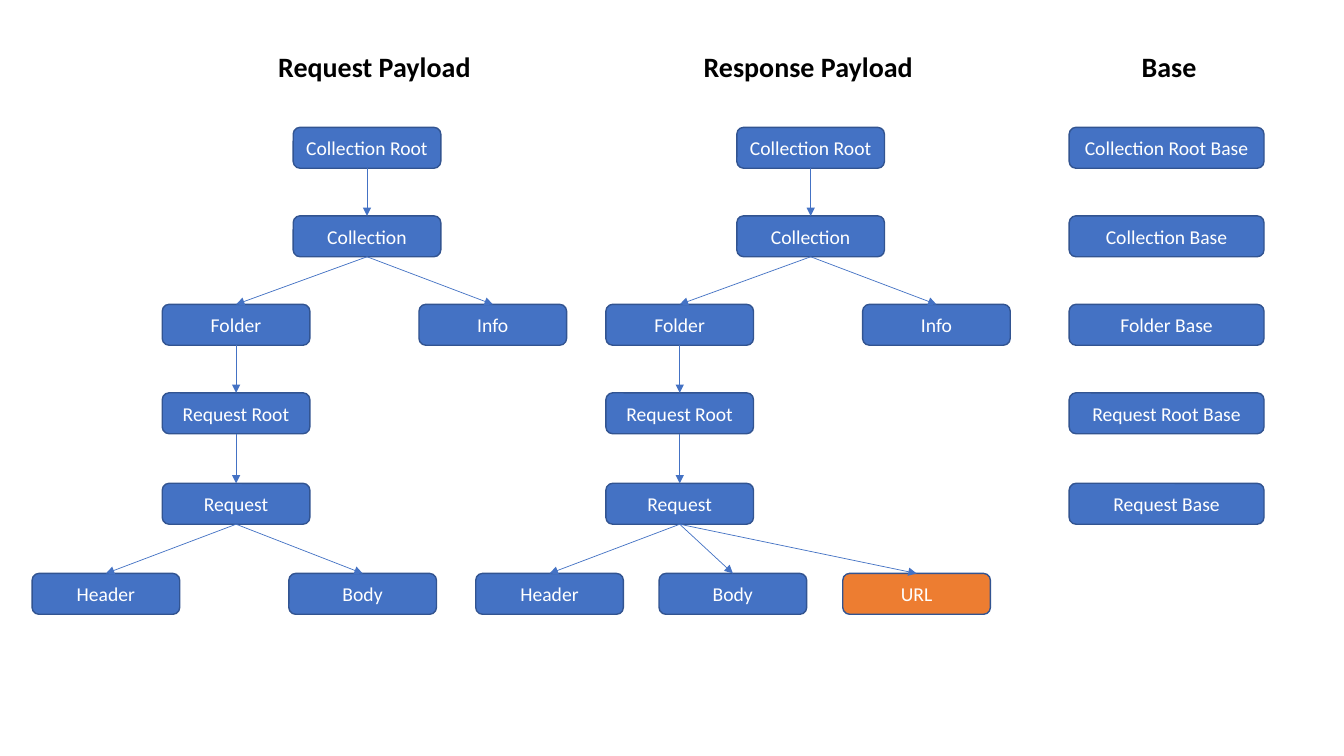
from lxml.etree import SubElement
from pptx import Presentation
from pptx.dml.color import RGBColor
from pptx.enum.shapes import MSO_CONNECTOR, MSO_SHAPE
from pptx.enum.text import MSO_ANCHOR, MSO_AUTO_SIZE, PP_ALIGN
from pptx.oxml.ns import qn
from pptx.util import Cm, Pt

COLORS = {"blue": "4472C4", "border": "325491", "orange": "ED7D31",
          "white": "FFFFFF", "black": "000000"}
FONT = "Calibri"

# Lengths in centimetres
ROW_TOPS = [3.21, 5.44, 7.67, 9.9, 12.18, 14.45]
BOX_W, BASE_W, BOX_H = 3.72, 4.91, 1.03
RESPONSE_SHIFT = 11.18
BASE_CENTER = 29.4

# Name: (row, horizontal centre)
REQUEST_NODES = {
    "Collection Root": (0, 9.25),
    "Collection": (1, 9.25),
    "Folder": (2, 5.95),
    "Info": (2, 12.42),
    "Request Root": (3, 5.95),
    "Request": (4, 5.95),
    "Header": (5, 2.67),
    "Body": (5, 9.14),
}
REQUEST_LINKS = [
    ("Collection Root", "Collection"), ("Collection", "Folder"),
    ("Collection", "Info"), ("Folder", "Request Root"),
    ("Request Root", "Request"), ("Request", "Header"), ("Request", "Body"),
]
RESPONSE_NODES = {name: (row, x + RESPONSE_SHIFT)
                  for name, (row, x) in REQUEST_NODES.items()}
RESPONSE_NODES.update({"Body": (5, 18.47), "URL": (5, 23.1)})
RESPONSE_LINKS = REQUEST_LINKS + [("Request", "URL")]

BASES = ["Collection Root", "Collection", "Folder", "Request Root", "Request"]
# Text, left, width
HEADINGS = [("Request Payload", 6.76, 5.66), ("Response Payload", 17.48, 5.87),
            ("Base", 28.52, 2.11)]


def rgb(name):
    return RGBColor.from_string(COLORS[name])


def format_run(p, size, color, bold=False):
    font = p.runs[0].font
    font.name, font.size, font.bold = FONT, Pt(size), bold
    font.color.rgb = rgb(color)


def add_heading(s, text, left, width):
    tf = s.shapes.add_textbox(Cm(left), Cm(1.12), Cm(width), Cm(1.11)).text_frame
    tf.word_wrap = True
    tf.auto_size = MSO_AUTO_SIZE.SHAPE_TO_FIT_TEXT
    tf.text = text
    format_run(tf.paragraphs[0], 20, "black", bold=True)


def add_box(s, text, row, center, width=BOX_W, fill="blue"):
    sp = s.shapes.add_shape(MSO_SHAPE.ROUNDED_RECTANGLE, Cm(center - width / 2),
                            Cm(ROW_TOPS[row]), Cm(width), Cm(BOX_H))
    sp.shadow.inherit = False
    sp.fill.solid()
    sp.fill.fore_color.rgb = rgb(fill)
    sp.line.color.rgb = rgb("border")
    sp.line.width = Pt(1)
    tf = sp.text_frame
    tf.word_wrap = True
    tf.vertical_anchor = MSO_ANCHOR.MIDDLE
    tf.text = text
    p = tf.paragraphs[0]
    p.alignment = PP_ALIGN.CENTER
    format_run(p, 14, "white")
    return sp


def add_arrow(s, parent, child):
    cxn = s.shapes.add_connector(MSO_CONNECTOR.STRAIGHT, 0, 0, 0, 0)
    cxn.begin_connect(parent, 2)  # bottom centre
    cxn.end_connect(child, 0)  # top centre
    cxn.line.color.rgb = rgb("blue")
    cxn.line.width = Pt(0.5)
    SubElement(cxn.line._get_or_add_ln(), qn("a:tailEnd"), type="triangle")
    SubElement(cxn._element.spPr, qn("a:effectLst"))


def add_tree(s, nodes, links):
    boxes = {name: add_box(s, name, row, x,
                           fill="orange" if name == "URL" else "blue")
             for name, (row, x) in nodes.items()}
    for parent, child in links:
        add_arrow(s, boxes[parent], boxes[child])


def main():
    prs = Presentation()
    prs.slide_width, prs.slide_height = Cm(33.87), Cm(19.05)
    s = prs.slides.add_slide(prs.slide_layouts[6])

    # Column headings
    for heading in HEADINGS:
        add_heading(s, *heading)

    # Payload trees
    add_tree(s, REQUEST_NODES, REQUEST_LINKS)
    add_tree(s, RESPONSE_NODES, RESPONSE_LINKS)

    # Base column
    for row, name in enumerate(BASES):
        add_box(s, f"{name} Base", row, BASE_CENTER, BASE_W)

    prs.save("out.pptx")


if __name__ == "__main__":
    main()
